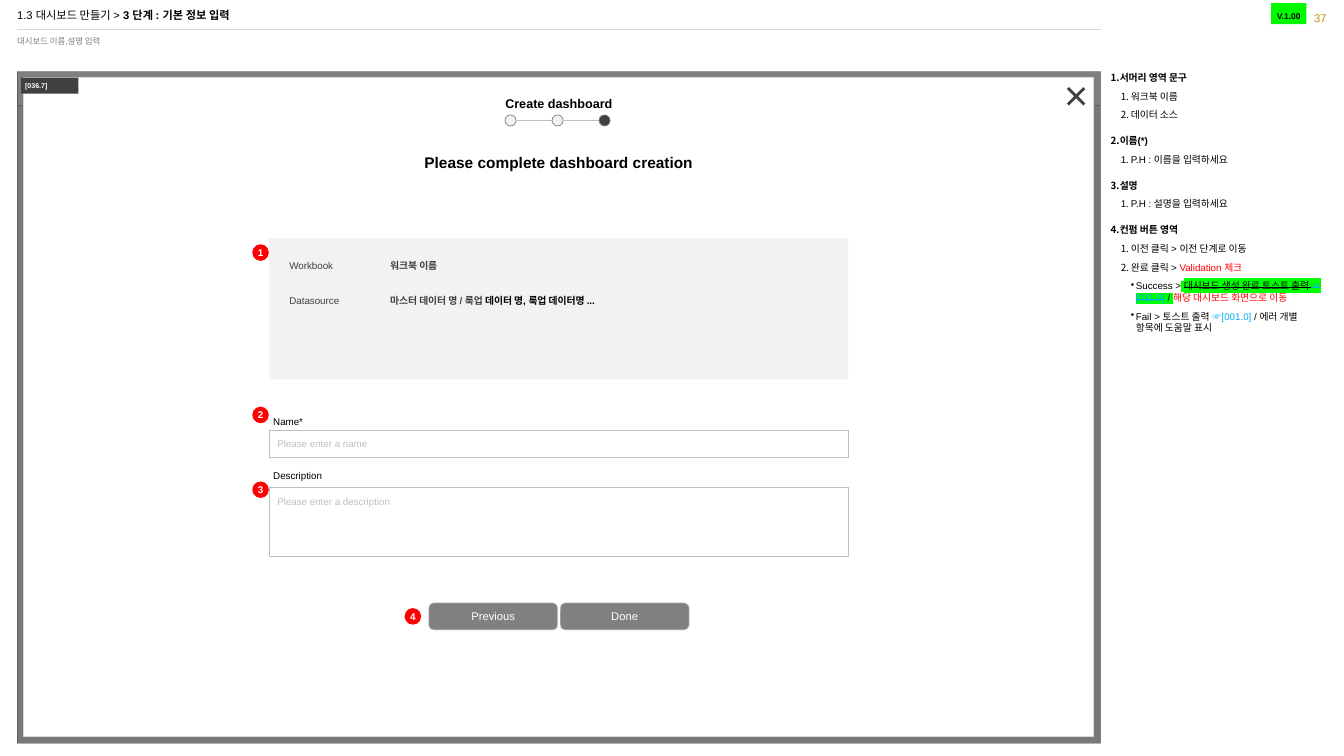
from dataclasses import dataclass

from lxml import etree
from pptx import Presentation
from pptx.dml import color
from pptx.enum import shapes, text
from pptx.oxml import ns
from pptx.util import Pt


@dataclass(frozen=True)
class Theme:
    font: str = "Arial"
    black: str = "000000"
    white: str = "FFFFFF"
    dark: str = "404040"
    gray: str = "808080"
    border: str = "BFBFBF"
    rule: str = "D9D9D9"
    panel: str = "F2F2F2"
    red: str = "FF0000"
    cyan: str = "00B0F0"
    gold: str = "BF9000"
    highlight: str = "00FF00"
    version: str = "00FA00"
    tag: float = 5
    small: float = 6
    body: float = 7
    title: float = 8
    heading: float = 9
    headline: float = 11


@dataclass(frozen=True)
class Box:
    left: float
    top: float
    width: float
    height: float

    def inner(self, x, y, width, height):
        return Box(self.left + x, self.top + y, width, height)

    def lengths(self):
        return [Pt(round(v, 2)) for v in (self.left, self.top, self.width, self.height)]


THEME = Theme()
LEFT, CENTER, RIGHT = text.PP_ALIGN.LEFT, text.PP_ALIGN.CENTER, text.PP_ALIGN.RIGHT
TOP, MIDDLE, BOTTOM = text.MSO_ANCHOR.TOP, text.MSO_ANCHOR.MIDDLE, text.MSO_ANCHOR.BOTTOM
KIND = shapes.MSO_SHAPE


def rgb(value):
    return color.RGBColor.from_string(value)


def add_runs(paragraph, runs, size, ink=THEME.black, bold=False):
    for words, style in runs:
        run = paragraph.add_run()
        run.text = words
        font = run.font
        font.size, font.name, font.bold = Pt(size), THEME.font, style.get("bold", bold)
        font.fill.solid()
        font.fill.fore_color.rgb = rgb(style.get("ink", ink))
        properties = run._r.get_or_add_rPr()
        if style.get("strike"):
            properties.set("strike", "sngStrike")
        if style.get("marked"):
            mark = etree.Element(ns.qn("a:highlight"))
            etree.SubElement(mark, ns.qn("a:srgbClr"), val=THEME.highlight)
            properties.find(ns.qn("a:solidFill")).addnext(mark)


def set_frame(shape, anchor=TOP, insets=(0, 0, 0, 0), wrap=True):
    frame = shape.text_frame
    frame.word_wrap, frame.vertical_anchor = wrap, anchor
    frame.margin_left, frame.margin_top, frame.margin_right, frame.margin_bottom = map(Pt, insets)
    return frame


def write(shape, runs, size, ink=THEME.black, bold=False, align=LEFT, spacing=1.0, **frame):
    paragraph = set_frame(shape, **frame).paragraphs[0]
    paragraph.alignment, paragraph.line_spacing = align, spacing
    add_runs(paragraph, [(runs, {})] if isinstance(runs, str) else runs, size, ink, bold)


def add_label(slide, box, runs, size, **options):
    write(slide.shapes.add_textbox(*box.lengths()), runs, size, **options)


def add_block(slide, box, fill, line=None, weight=0.25, kind=KIND.RECTANGLE):
    shape = slide.shapes.add_shape(kind, *box.lengths())
    shape.shadow.inherit = False
    shape.fill.solid()
    shape.fill.fore_color.rgb = rgb(fill)
    if line:
        shape.line.color.rgb = rgb(line)
        shape.line.width = Pt(weight)
    else:
        shape.line.fill.background()
    return shape


def add_rule(slide, x1, x2, y, ink, weight):
    line = slide.shapes.add_connector(shapes.MSO_CONNECTOR.STRAIGHT, Pt(x1), Pt(y), Pt(x2), Pt(y))
    line.line.color.rgb = rgb(ink)
    line.line.width = Pt(weight)
    etree.SubElement(line._element.spPr, ns.qn("a:effectLst"))


def add_badge(slide, box, number):
    badge = add_block(slide, box, THEME.red, THEME.red, 1, KIND.OVAL)
    write(badge, number, THEME.body, ink=THEME.white, bold=True, align=CENTER, anchor=MIDDLE, wrap=False)


def header(slide, box):
    add_rule(slide, box.left, box.left + 774, box.top + 18.7, THEME.rule, 0.25)
    add_label(slide, box.inner(0, 0, 774, 18),
              [("1.3 대시보드 만들기 > ", {}), ("3 단계 : 기본 정보 입력", {"bold": True})],
              THEME.title, spacing=0.9, anchor=MIDDLE)
    add_label(slide, box.inner(0, 18.7, 774, 20), "대시보드 이름,설명 입력", THEME.small,
              ink=THEME.gray, spacing=0.9, insets=(0, 5.8, 0, 0))
    add_label(slide, box.inner(900.7, -2.2, 34.6, 20.9), "37", THEME.title,
              ink=THEME.gold, align=RIGHT, anchor=BOTTOM, insets=(0, 0, 0, 2.9))
    version = add_block(slide, box.inner(895.7, 0, 25.2, 15.1), THEME.version)
    write(version, "V.1.00", THEME.small, bold=True, align=CENTER, spacing=1.5, anchor=MIDDLE)


def window(slide, box):
    bar = 23.8
    for y, height, fill in ((0, bar, THEME.white), (bar, bar, THEME.white),
                            (bar, box.height - bar, THEME.panel)):
        add_block(slide, box.inner(0, y, box.width, height), fill, THEME.border)
    shade = add_block(slide, box, THEME.black)
    tint = shade._element.spPr.find(ns.qn("a:solidFill"))[0]
    etree.SubElement(tint, ns.qn("a:alpha"), val="50000")
    add_block(slide, box.inner(4.4, 4.3, 764.6, 470.2), THEME.white, THEME.rule)
    close = add_block(slide, box.inner(748.1, 9.4, 16.6, 16.6), THEME.dark, kind=KIND.CROSS)
    close.adjustments[0] = 0.439
    close.rotation = 45
    tag = add_block(slide, box.inner(2.9, 4.3, 41, 11.5), THEME.dark)
    write(tag, "[036.7]", THEME.tag, ink=THEME.white, bold=True, insets=(2.9, 2.9, 2.9, 2.9))


def stepper(slide, box):
    dot, pitch = 7.9, 33.6
    add_label(slide, box.inner(0, 0, box.width, 10.8), "Create dashboard", THEME.heading,
              bold=True, align=CENTER, wrap=False)
    for step, fill in enumerate((THEME.panel, THEME.panel, THEME.dark)):
        x, y = step * pitch, 13.7
        if step:
            add_rule(slide, box.left + x - pitch + dot, box.left + x, box.top + y + dot / 2, THEME.border, 0.5)
        add_block(slide, box.inner(x, y, dot, dot), fill, THEME.gray, 0.5, KIND.OVAL)
    add_label(slide, box.inner(-58, 41, 193, 13.7), "Please complete dashboard creation",
              THEME.headline, bold=True, align=CENTER, wrap=False)


def summary(slide, box):
    frame = set_frame(add_block(slide, box, THEME.panel), insets=(14.4, 11.5, 7.2, 3.6))
    rows = (("Workbook", [("워크북 이름", {"bold": True})]),
            ("Datasource", [("마스터 데이터 명 / 룩업 ", {"bold": True}),
                            ("데이터 명, 룩업 데이터명 ...", {"bold": True, "ink": THEME.black})]))
    for index, (name, values) in enumerate(rows):
        paragraph = frame.add_paragraph() if index else frame.paragraphs[0]
        paragraph.alignment, paragraph.line_spacing = LEFT, 1.5
        if index:
            paragraph.space_before = Pt(12.5)
        tabs = etree.SubElement(paragraph._p.get_or_add_pPr(), ns.qn("a:tabLst"))
        etree.SubElement(tabs, ns.qn("a:tab"), pos=str(Pt(72)), algn="l")
        add_runs(paragraph, [(name + "\t", {})] + values, THEME.body, THEME.dark)


def field(slide, box, label, label_rise, prompt, anchor, pad):
    entry = add_block(slide, box, THEME.white, THEME.border)
    write(entry, prompt, THEME.body, ink=THEME.border, anchor=anchor, insets=(5.8, pad, 7.2, pad))
    add_label(slide, box.inner(0, -label_rise, 62.6, 14.4), label, THEME.body, spacing=1.5, insets=(2.9, 0, 0, 0))


def buttons(slide, box):
    width, pitch = 92.2, 93.9
    for index, name in enumerate(("Previous", "Done")):
        button = add_block(slide, box.inner(index * pitch, 0, width, box.height),
                           THEME.gray, THEME.rule, 0.5, KIND.ROUNDED_RECTANGLE)
        button.adjustments[0] = 0.187
        write(button, name, THEME.title, ink=THEME.white, align=CENTER, anchor=MIDDLE)


def notes_panel(slide, box):
    levels = ((6.5, -6.5, 10), (14.4, -7.2, 5), (18, -3.6, 5))
    marked = {"marked": True}
    struck = {"marked": True, "strike": True}
    items = ((0, [("서머리 영역 문구", {})]), (1, [("워크북 이름", {})]), (1, [("데이터 소스", {})]),
             (0, [("이름(*)", {})]), (1, [("P.H : 이름을 입력하세요", {})]),
             (0, [("설명", {})]), (1, [("P.H : 설명을 입력하세요", {})]),
             (0, [("컨펌 버튼 영역", {})]), (1, [("이전 클릭 > 이전 단계로 이동", {})]),
             (1, [("완료 클릭 > ", {}), ("Validation 체크", {"ink": THEME.red})]),
             (2, [("Success >", {}), (" ", marked), ("대시보드 생성 완료 토스트 출력 ", struck),
                  ("☞[011.0]", {**struck, "ink": THEME.cyan}), (" / ", marked),
                  ("해당 대시보드 화면으로 이동", {"ink": THEME.red})]),
             (2, [("Fail > 토스트 출력 ", {}), ("☞[001.0] ", {"ink": THEME.cyan}),
                  ("/ 에러 개별 항목에 도움말 표시", {})]))
    frame = set_frame(slide.shapes.add_textbox(*box.lengths()))
    for index, (level, runs) in enumerate(items):
        paragraph = frame.add_paragraph() if index else frame.paragraphs[0]
        margin, indent, before = levels[level]
        paragraph.level = level
        if index:
            paragraph.space_before = Pt(before)
        properties = paragraph._p.get_or_add_pPr()
        properties.set("marL", str(Pt(margin)))
        properties.set("indent", str(Pt(indent)))
        if level == 2:
            etree.SubElement(properties, ns.qn("a:buChar"), char="•")
        else:
            etree.SubElement(properties, ns.qn("a:buAutoNum"), type="arabicPeriod")
        add_runs(paragraph, runs, THEME.body, bold=level == 0)


def main():
    presentation = Presentation()
    presentation.slide_width, presentation.slide_height = Pt(960), Pt(540)
    slide = presentation.slides.add_slide(presentation.slide_layouts[6])
    form = Box(192.3, 170, 413.5, 101)
    window(slide, Box(12.2, 51.1, 774, 479.7))
    header(slide, Box(12.2, 2.2, 935.3, 36.5))
    notes_panel(slide, Box(793.4, 51.1, 154.1, 488.9))
    stepper(slide, Box(360.7, 68.4, 77, 55))
    summary(slide, form)
    field(slide, form.inner(0, 137.5, form.width, 19.4), "Name*", 14.4, "Please enter a name", MIDDLE, 0)
    field(slide, form.inner(0, 178, form.width, 49.5), "Description", 16.9, "Please enter a description", TOP, 5.8)
    buttons(slide, Box(306.2, 430.6, 186.1, 19.4))
    for number, (x, y) in enumerate(((-11.6, 5), (-11.6, 121), (-11.6, 174.4), (97.2, 264.9)), 1):
        add_badge(slide, form.inner(x, y, 10.8, 10.8), str(number))
    presentation.save("out.pptx")


if __name__ == "__main__":
    main()
